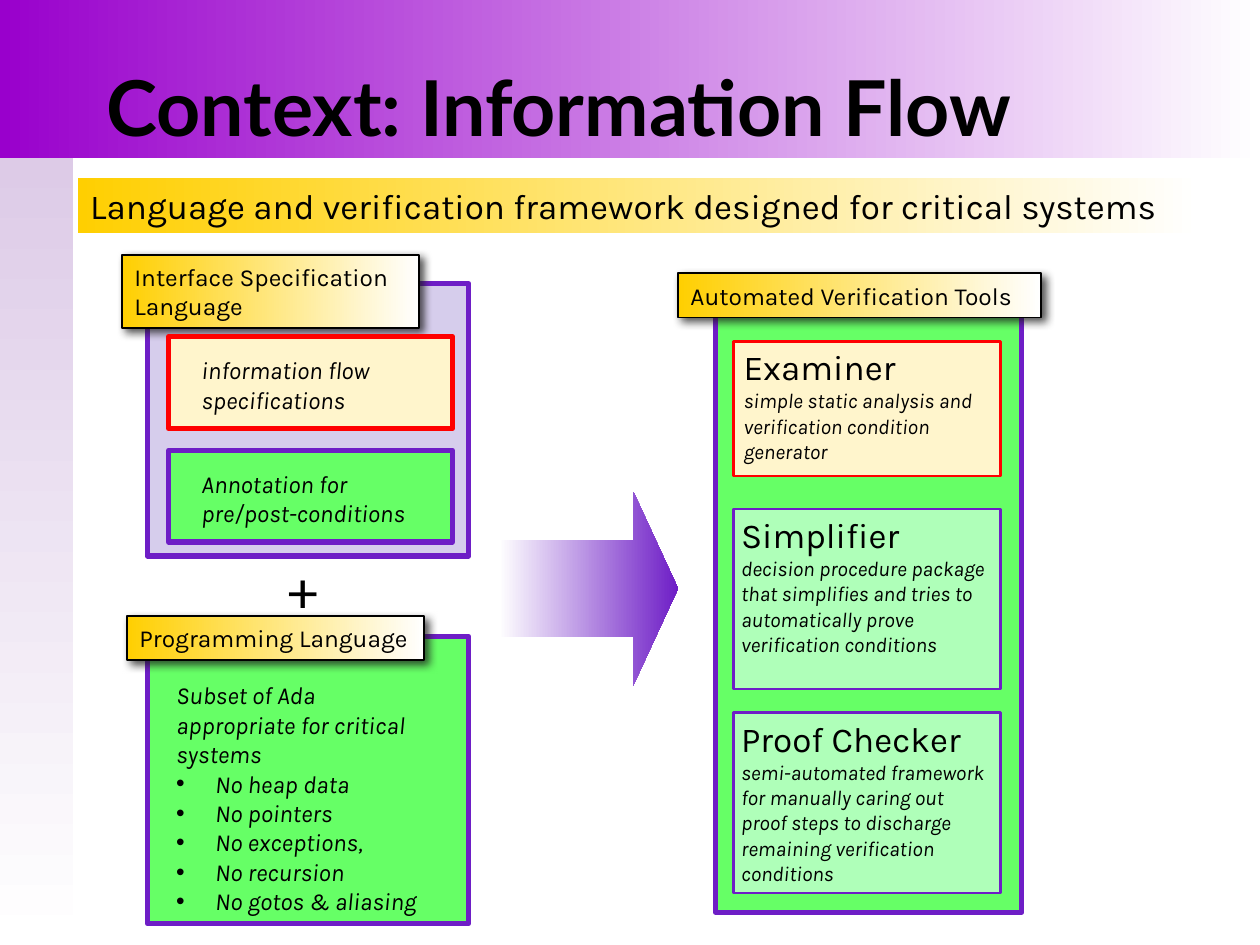
from lxml.etree import SubElement
from pptx import Presentation
from pptx.dml.color import RGBColor
from pptx.enum.shapes import MSO_SHAPE as Kind
from pptx.enum.text import MSO_ANCHOR as Anchor, MSO_AUTO_SIZE as Fit, PP_ALIGN as Align
from pptx.oxml.ns import qn
from pptx.util import Cm, Pt

BLACK = RGBColor(0x00, 0x00, 0x00)
WHITE = RGBColor(0xFF, 0xFF, 0xFF)
GOLD = RGBColor(0xFF, 0xCF, 0x01)
CREAM = RGBColor(0xFF, 0xF5, 0xCC)
RED = RGBColor(0xFF, 0x00, 0x00)
GREEN = RGBColor(0x66, 0xFF, 0x66)
MINT = RGBColor(0xAF, 0xFF, 0xB9)
PURPLE = RGBColor(0x6E, 0x1E, 0xC6)
VIOLET = RGBColor(0x99, 0x00, 0xCC)
LILAC = RGBColor(0xDD, 0xCB, 0xE7)
MAUVE = RGBColor(0xD6, 0xCD, 0xEC)


def write(shape, text, size=14, font="Karla", bold=False, italic=False, bullet=False):
    frame = shape.text_frame
    para = frame.add_paragraph() if frame.text else frame.paragraphs[0]
    para.alignment = Align.LEFT
    run = para.add_run()
    run.text = text
    run.font.size = Pt(size)
    run.font.name = font
    run.font.bold = bold
    run.font.italic = italic
    run.font.color.rgb = BLACK
    if bullet:
        props = para._p.get_or_add_pPr()
        props.set("marL", str(Cm(0.79)))
        props.set("indent", str(-Cm(0.79)))
        SubElement(props, qn("a:buFont"), typeface="Arial")
        SubElement(props, qn("a:buChar"), char="•")


def draw(slide, x, y, w, h, fill, line=None, width=3, angle=0, kind=Kind.RECTANGLE):
    shape = slide.shapes.add_shape(kind, Cm(x), Cm(y), Cm(w), Cm(h))
    shape.shadow.inherit = False
    if isinstance(fill, list):
        shape.fill.gradient()
        shape.fill.gradient_angle = angle
        for stop, color in zip(shape.fill.gradient_stops, fill):
            stop.color.rgb = color
    else:
        shape.fill.solid()
        shape.fill.fore_color.rgb = fill
    if line is None:
        shape.line.fill.background()
    else:
        shape.line.color.rgb = line
        shape.line.width = Pt(width)
    return shape


def add_box(slide, x, y, w, h, wrap=True, fit=Fit.SHAPE_TO_FIT_TEXT):
    box = slide.shapes.add_textbox(Cm(x), Cm(y), Cm(w), Cm(h))
    box.text_frame.word_wrap = wrap
    box.text_frame.auto_size = fit
    return box


def add_label(slide, x, y, w, h, text):
    label = draw(slide, x, y, w, h, [GOLD, WHITE], BLACK, 1)
    label.text_frame.word_wrap = True
    label.text_frame.auto_size = Fit.SHAPE_TO_FIT_TEXT
    effects = label._element.spPr.find(qn("a:effectLst"))
    shade = SubElement(effects, qn("a:outerShdw"), blurRad=str(Pt(5)),
                       dist=str(Pt(3)), dir="2700000", algn="tl", rotWithShape="0")
    color = SubElement(shade, qn("a:srgbClr"), val="1C1C1C")
    SubElement(color, qn("a:alpha"), val="75000")
    write(label, text)


def add_header(slide, x, y, w, h):
    draw(slide, x, y + h, 1.48, 15.88, [LILAC, WHITE], angle=270)
    draw(slide, x, y, w, h, [VIOLET, WHITE])
    title = add_box(slide, x + 1.9, y, 22.66, h, fit=Fit.NONE)
    title.text_frame.vertical_anchor = Anchor.BOTTOM
    write(title, "Context: Information Flow", size=44, font="Lato", bold=True)


def add_banner(slide, x, y, w, h):
    banner = draw(slide, x, y, w, h, [GOLD, WHITE])
    banner.text_frame.word_wrap = True
    write(banner, "Language and verification framework designed for critical systems", size=20)


def add_specs(slide, x, y, w, h):
    draw(slide, x, y, w, h, MAUVE, PURPLE)
    add_label(slide, x - 0.51, y - 0.58, 5.99, 1.47, "Interface Specification Language")
    cards = [
        ("information flow specifications", CREAM, RED),
        ("Annotation for pre/post-conditions", GREEN, PURPLE),
    ]
    for row, (text, fill, line) in enumerate(cards):
        left, top = x + 0.43, y + 1.07 + 2.29 * row
        draw(slide, left, top, 5.72, 1.85, fill, line)
        write(add_box(slide, left + 0.41, top + 0.25, 4.9, 1.45), text, italic=True)


def add_subset(slide, x, y, w, h):
    draw(slide, x, y, w, h, GREEN, PURPLE)
    body = add_box(slide, x + 0.33, y + 0.76, 5.56, 5.05)
    write(body, "Subset of Ada appropriate for critical systems", italic=True)
    for rule in ("No heap data", "No pointers", "No exceptions,", "No recursion",
                 "No gotos & aliasing"):
        write(body, rule, italic=True, bullet=True)
    add_label(slide, x - 0.41, y - 0.41, 5.99, 0.89, "Programming Language")


def add_tools(slide, x, y, w, h):
    draw(slide, x, y, w, h, GREEN, PURPLE)
    add_label(slide, x - 0.76, y - 0.48, 7.32, 0.89, "Automated Verification Tools")
    cards = [
        (0.89, 2.72, 0.05, CREAM, RED, "Examiner",
         "simple static analysis and verification condition generator"),
        (4.27, 3.63, 0.1, MINT, PURPLE, "Simplifier",
         "decision procedure package that simplifies and tries to automatically "
         "prove verification conditions"),
        (8.38, 3.63, 0.1, MINT, PURPLE, "Proof Checker",
         "semi-automated framework for manually caring out proof steps to discharge "
         "remaining verification conditions"),
    ]
    for top, high, shift, fill, line, name, role in cards:
        left = x + 0.36
        draw(slide, left, y + top, 5.38, high, fill, line, 1.5)
        body = add_box(slide, left - shift, y + top - 0.03, 5.56, high)
        write(body, name, size=20)
        write(body, role, size=12, italic=True)


def add_arrow(slide, x, y, w, h):
    arrow = draw(slide, x, y, w, h, [WHITE, PURPLE], kind=Kind.RIGHT_ARROW)
    arrow.adjustments[0] = 0.5
    arrow.adjustments[1] = 0.25


def main():
    deck = Presentation()
    deck.slide_width, deck.slide_height = Cm(25.4), Cm(19.05)
    slide = deck.slides.add_slide(deck.slide_layouts[6])
    add_header(slide, 0, 0, 25.4, 3.18)
    add_banner(slide, 1.57, 3.58, 22.61, 1.12)
    add_tools(slide, 14.43, 5.99, 6.17, 12.4)
    add_arrow(slide, 10.06, 9.91, 3.61, 3.91)
    add_subset(slide, 2.97, 12.83, 6.48, 5.79)
    write(add_box(slide, 5.56, 11.02, 1.32, 1.6, wrap=False), "+", size=32)
    add_specs(slide, 2.97, 5.72, 6.48, 5.49)
    deck.save("out.pptx")


if __name__ == "__main__":
    main()
